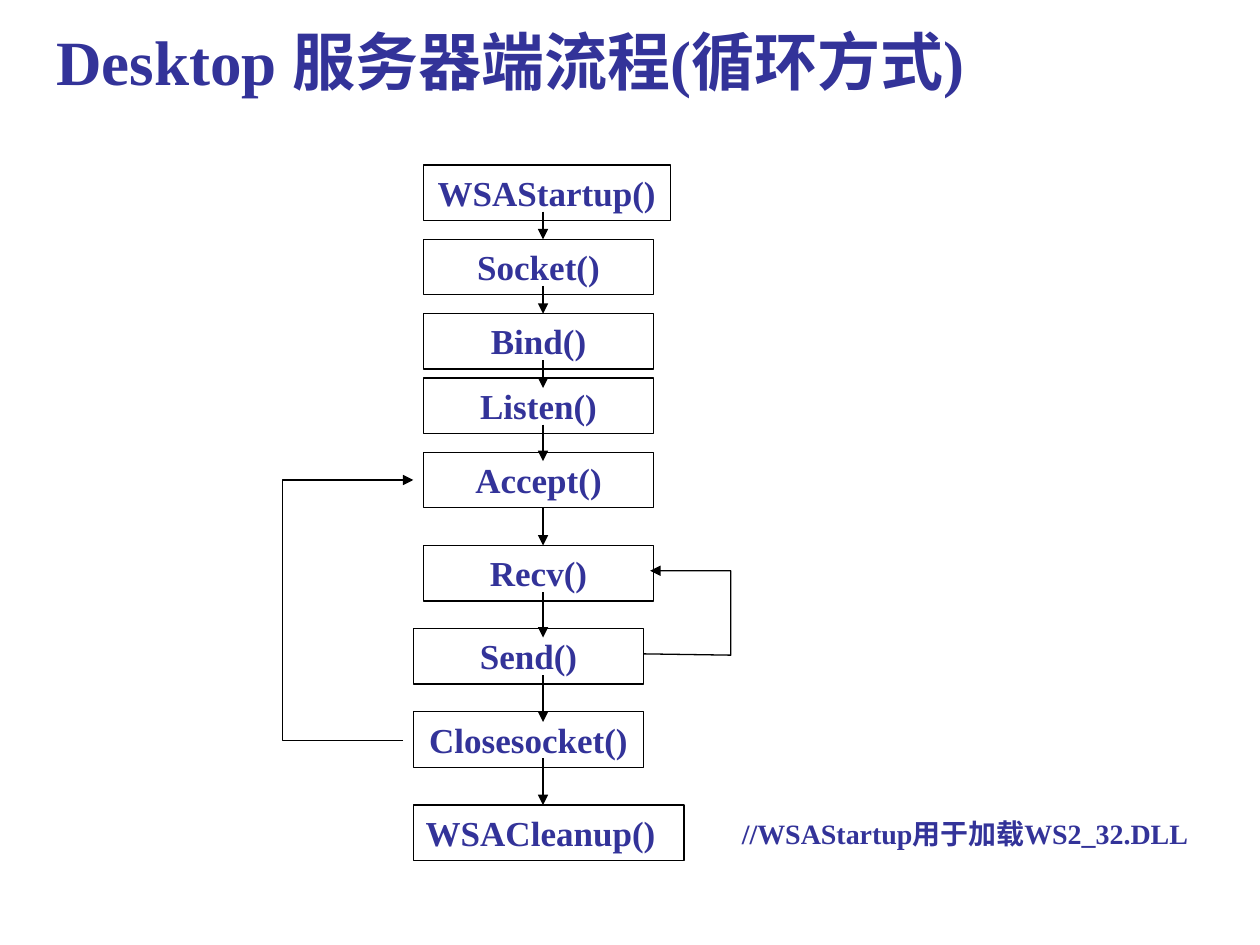
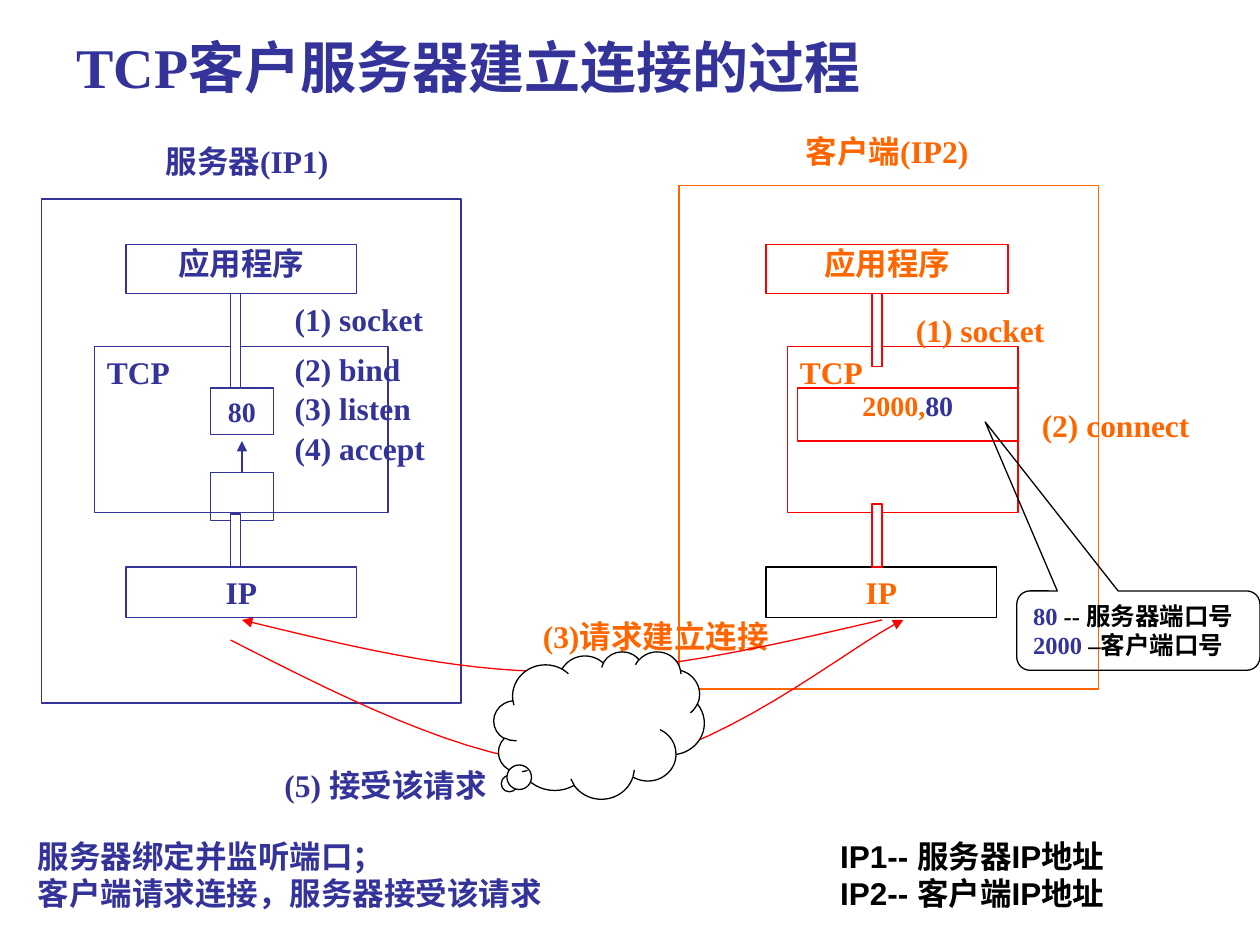
"""Build two slides on the socket server flow and TCP connection setup."""
from dataclasses import dataclass

from lxml import etree
from pptx import Presentation
from pptx.dml.color import RGBColor
from pptx.enum.shapes import MSO_CONNECTOR, MSO_SHAPE
from pptx.enum.text import PP_ALIGN
from pptx.oxml.ns import qn
from pptx.util import Inches, Pt

RECT = MSO_SHAPE.RECTANGLE
CLOUD = MSO_SHAPE.CLOUD_CALLOUT
BUBBLE = MSO_SHAPE.ROUNDED_RECTANGULAR_CALLOUT
STRAIGHT = MSO_CONNECTOR.STRAIGHT
LEFT, CENTER = PP_ALIGN.LEFT, PP_ALIGN.CENTER


@dataclass(frozen=True)
class Theme:
    navy: str = "333399"
    orange: str = "FF6600"
    red: str = "FF0000"
    black: str = "000000"
    white: str = "FFFFFF"
    serif: str = "Times New Roman"
    sans: str = "Arial"
    title: int = 36
    subtitle: int = 32
    call: int = 20
    label: int = 18
    remark: int = 16
    bubble: int = 14
    line: float = 0.75


theme = Theme()


def style_line(shape, color, arrow=None):
    shape.line.color.rgb = RGBColor.from_string(color)
    shape.line.width = Pt(theme.line)
    if arrow:
        etree.SubElement(shape.line._get_or_add_ln(), qn(f"a:{arrow}"), type="triangle")
    properties = shape._element.spPr
    if properties.find(qn("a:effectLst")) is None:
        etree.SubElement(properties, qn("a:effectLst"))


def add_box(page, place, lines=(), color=theme.navy, size=theme.label, align=LEFT,
            preset=None, line=None, fill=None, inset=True, font=theme.serif):
    place = [Inches(value) for value in place]
    if preset is None:
        box = page.shapes.add_textbox(*place)
    else:
        box = page.shapes.add_shape(preset, *place)
        if fill:
            box.fill.solid()
            box.fill.fore_color.rgb = RGBColor.from_string(fill)
        else:
            box.fill.background()
        style_line(box, line)
    frame = box.text_frame
    frame.word_wrap = True
    frame.vertical_anchor = TOP
    frame.margin_left = frame.margin_right = Inches(0.1 if inset else 0)
    frame.margin_top = frame.margin_bottom = Inches(0.05 if inset else 0)
    for index, content in enumerate(lines):
        para = frame.add_paragraph() if index else frame.paragraphs[0]
        para.alignment = align
        para.font.name, para.font.size, para.font.bold = font, Pt(size), True
        para.font.color.rgb = RGBColor.from_string(color)
        if isinstance(content, str):
            para.add_run().text = content
            continue
        for text, span_color in content:
            span = para.add_run()
            span.text = text
            span.font.color.rgb = RGBColor.from_string(span_color)
    return box


from pptx.enum.text import MSO_ANCHOR

TOP = MSO_ANCHOR.TOP

deck = Presentation()
deck.slide_width, deck.slide_height = Inches(10), Inches(7.5)
blank = deck.slide_layouts[6]

flow_page = deck.slides.add_slide(blank)
add_box(flow_page, (0.35, 0.13, 8.59, 0.7), ["Desktop 服务器端流程(循环方式)"], size=theme.title)
add_box(flow_page, (5.79, 6.43, 3.9, 0.64), ["//WSAStartup用于加载WS2_32.DLL"], size=theme.remark)

calls = [
    ("WSAStartup()", 3.36, 1.31, 1.96, CENTER),
    ("Socket()", 3.36, 1.9, 1.83, CENTER),
    ("Bind()", 3.36, 2.49, 1.83, CENTER),
    ("Listen()", 3.36, 3, 1.83, CENTER),
    ("Accept()", 3.36, 3.59, 1.83, CENTER),
    ("Recv()", 3.36, 4.33, 1.83, CENTER),
    ("Send()", 3.28, 4.99, 1.83, CENTER),
    ("Closesocket()", 3.28, 5.65, 1.83, CENTER),
    ("WSACleanup()", 3.28, 6.39, 2.15, LEFT),
]
for name, left, top, width, align in calls:
    add_box(flow_page, (left, top, width, 0.44), [name], size=theme.call, align=align,
            preset=RECT, line=theme.black)

flow_x = Inches(4.31)
flow_steps = [(1.68, 1.9), (2.27, 2.49), (2.86, 3.08), (3.37, 3.66),
              (4.03, 4.33), (4.7, 5.06), (5.36, 5.73), (6.02, 6.39)]
for start, end in flow_steps:
    arrow = flow_page.shapes.add_connector(STRAIGHT, flow_x, Inches(start), flow_x, Inches(end))
    style_line(arrow, theme.black, "tailEnd")

tcp_page = deck.slides.add_slide(blank)
add_box(tcp_page, (0.51, 0.21, 8.5, 0.58), ["TCP客户服务器建立连接的过程"], size=theme.subtitle)
add_box(tcp_page, (0.2, 6.59, 4.88, 0.7),
        ["服务器绑定并监听端口；", "客户端请求连接，服务器接受该请求"], font=theme.sans)

ports = [("2000,", theme.orange), ("80", theme.navy)]
server_boxes = [
    ((0.33, 1.58, 3.33, 4), [], LEFT, theme.navy, True),
    ((0.75, 2.75, 2.33, 1.32), ["TCP"], LEFT, theme.navy, True),
    ((1, 1.94, 1.83, 0.39), ["应用程序"], CENTER, theme.navy, False),
    ((1, 4.5, 1.83, 0.4), ["IP"], CENTER, theme.navy, True),
]
client_boxes = [
    ((5.39, 1.47, 3.33, 4), [], LEFT, theme.orange, True),
    ((6.25, 2.75, 1.83, 1.32), ["TCP"], LEFT, theme.red, True),
    ((6.08, 1.94, 1.92, 0.39), ["应用程序"], CENTER, theme.red, False),
    ((6.08, 4.5, 1.83, 0.4), ["IP"], CENTER, theme.black, True),
]
for color, boxes in ((theme.navy, server_boxes), (theme.orange, client_boxes)):
    for place, lines, align, line, inset in boxes:
        add_box(tcp_page, place, lines, color, align=align, preset=RECT, line=line,
                fill=theme.white, inset=inset)

add_box(tcp_page, (1.67, 3.08, 0.5, 0.37), ["80"], size=theme.remark, align=CENTER,
        preset=RECT, line=theme.navy)
queue = add_box(tcp_page, (1.67, 3.75, 0.5, 0.38), preset=RECT, line=theme.navy)
add_box(tcp_page, (6.33, 3.08, 1.75, 0.42), [ports], size=theme.remark, align=CENTER,
        preset=RECT, line=theme.red, inset=False)

pipes = [(1.83, 2.33, 0.75, theme.navy), (1.83, 4.08, 0.42, theme.navy),
         (6.92, 2.33, 0.58, theme.red), (6.92, 4, 0.5, theme.red)]
for left, top, height, line in pipes:
    add_box(tcp_page, (left, top, 0.08, height), preset=RECT, line=line, fill=theme.white)

accept_arrow = tcp_page.shapes.add_connector(
    STRAIGHT, Inches(1.92), Inches(3.75), Inches(1.92), Inches(3.5))
accept_arrow.begin_connect(queue, 0)
style_line(accept_arrow, theme.navy, "tailEnd")

captions = [
    ("服务器(IP1)", 1.17, 1.08, 1.58, theme.navy, CENTER),
    ("(1) socket", 2.24, 2.33, 1.58, theme.navy, LEFT),
    ("(2) bind", 2.24, 2.73, 1.58, theme.navy, LEFT),
    ("(3) listen", 2.24, 3.04, 1.58, theme.navy, LEFT),
    ("(4) accept", 2.24, 3.36, 1.58, theme.navy, LEFT),
    ("客户端(IP2)", 6.25, 1, 1.58, theme.orange, CENTER),
    ("(1) socket", 7.17, 2.42, 1.25, theme.orange, LEFT),
    ("(2) connect", 8.17, 3.17, 1.83, theme.orange, LEFT),
    ("(3)请求建立连接", 4.21, 4.85, 2.13, theme.orange, LEFT),
    ("(5) 接受该请求", 2.16, 6.03, 2.36, theme.navy, LEFT),
]
for text, left, top, width, color, align in captions:
    add_box(tcp_page, (left, top, width, 0.4), [text], color, align=align)

request = [(1.92, 4.92), (2.74, 5.12), (3.57, 5.33), (4.42, 5.33),
           (5.26, 5.33), (6.13, 5.12), (7, 4.92)]
reply = [(1.83, 5.08), (2.85, 5.6), (3.86, 6.11), (4.75, 6.08),
         (5.64, 6.06), (6.76, 5.11), (7.17, 4.92)]
curves = []
for controls in (request, reply):
    points = [controls[0]]
    for first in (0, 3):
        p0, p1, p2, p3 = controls[first:first + 4]
        for step in range(1, 17):
            t = step / 16
            points.append([(1 - t) ** 3 * a + 3 * t * (1 - t) ** 2 * b
                           + 3 * t ** 2 * (1 - t) * c + t ** 3 * d
                           for a, b, c, d in zip(p0, p1, p2, p3)])
    curves.append(points)

close_loop = [(3.2, 5.88), (2.24, 5.88), (2.24, 3.81), (3.28, 3.81)]
receive_loop = [(5.11, 5.19), (5.8, 5.2), (5.8, 4.53), (5.16, 4.53)]
routes = [
    (flow_page, close_loop, theme.black, "tailEnd"),
    (flow_page, receive_loop, theme.black, "tailEnd"),
    (tcp_page, curves[0], theme.red, "headEnd"),
    (tcp_page, curves[1], theme.red, "tailEnd"),
]
for page, points, color, arrow in routes:
    corners = [(Inches(x), Inches(y)) for x, y in points]
    builder = page.shapes.build_freeform(*corners[0])
    builder.add_line_segments(corners[1:], close=False)
    route = builder.convert_to_shape()
    route.fill.background()
    style_line(route, color, arrow)

port_notes = [
    [("80", theme.navy), (" -- 服务器端口号", theme.black)],
    [("2000", theme.navy), (" –客户端口号", theme.black)],
]
bubble = add_box(tcp_page, (8.07, 4.69, 1.93, 0.63), port_notes, size=theme.bubble,
                 preset=BUBBLE, line=theme.black)
cloud = add_box(tcp_page, (3.92, 5.17, 1.67, 1.17), preset=CLOUD, line=theme.black,
                fill=theme.white)
for callout, tip in ((bubble, (-0.63, -2.63)), (cloud, (-0.44, 0.41))):
    callout.adjustments[0], callout.adjustments[1] = tip

add_box(tcp_page, (6.57, 6.59, 2.52, 0.7), ["IP1-- 服务器IP地址", "IP2-- 客户端IP地址"],
        theme.black, font=theme.sans)

deck.save("out.pptx")
